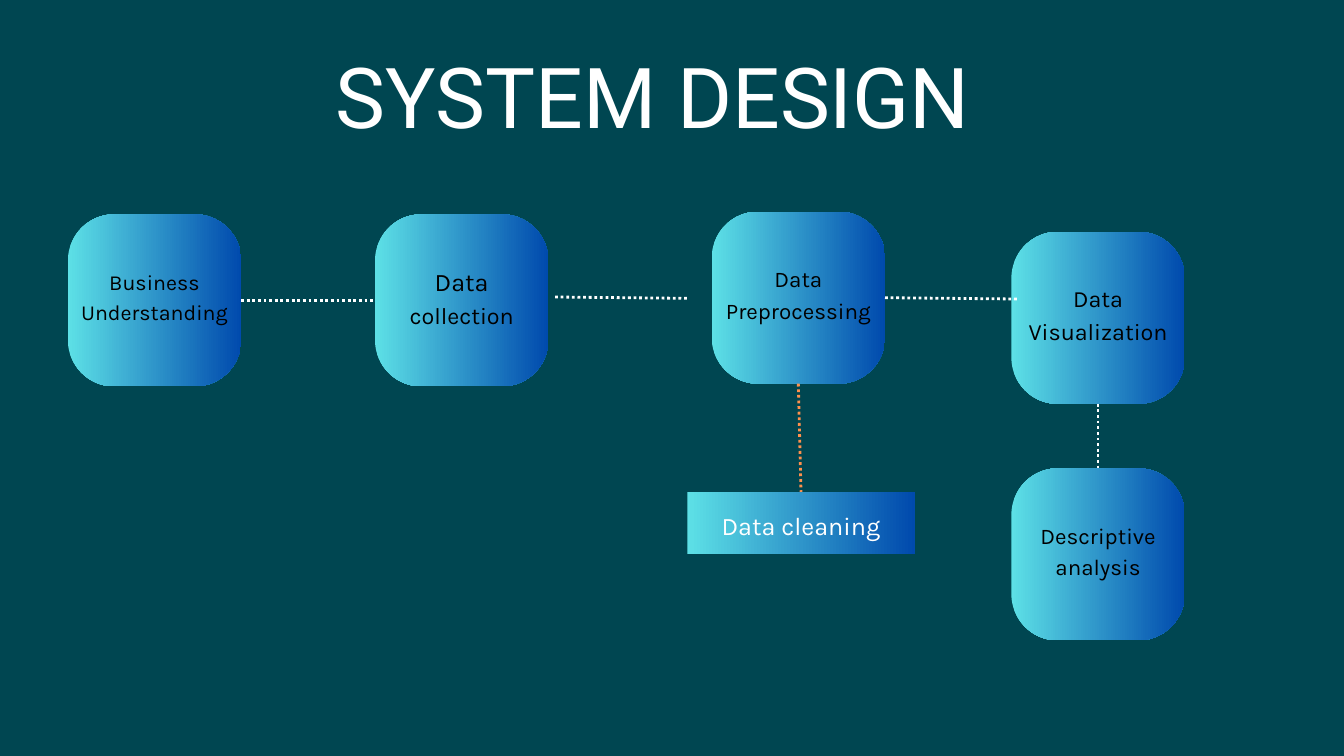
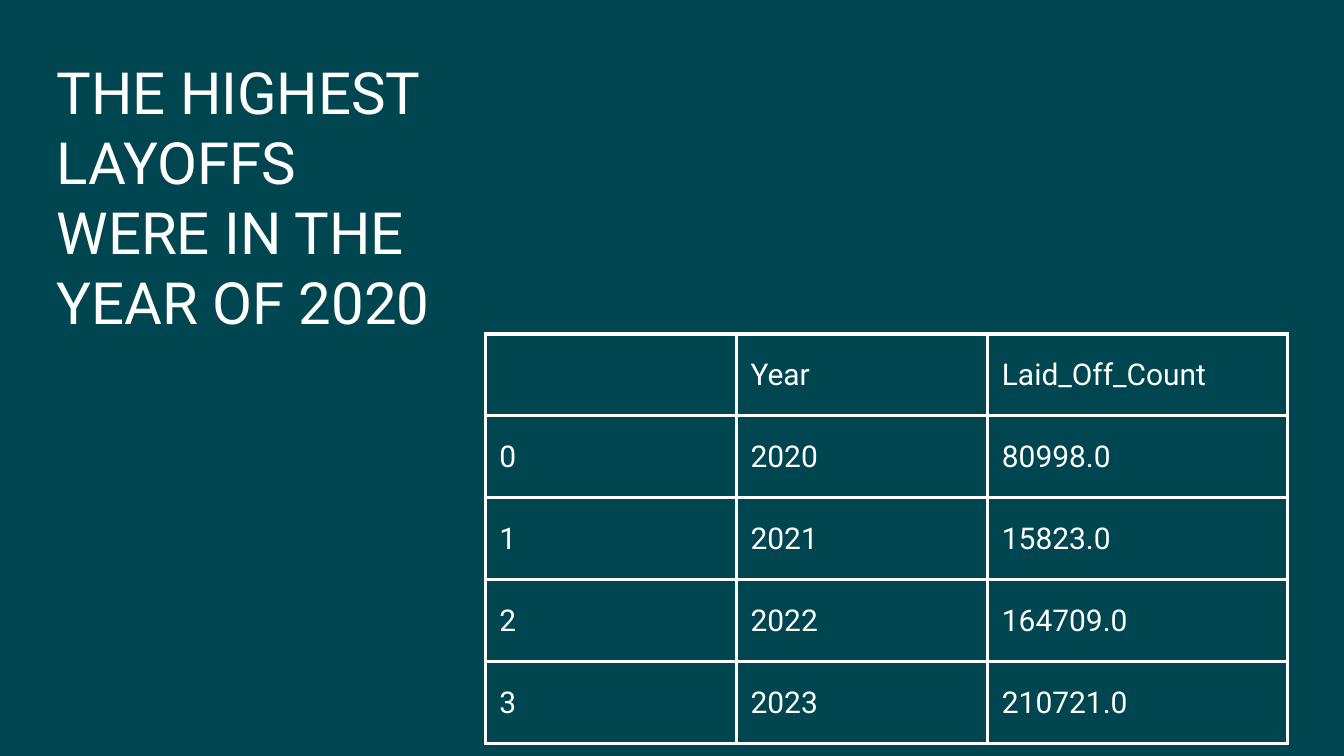
from lxml.etree import SubElement
from pptx import Presentation
from pptx.dml.color import RGBColor
from pptx.enum.dml import MSO_LINE
from pptx.enum.shapes import MSO_CONNECTOR, MSO_SHAPE
from pptx.enum.text import MSO_ANCHOR, PP_ALIGN
from pptx.oxml.ns import qn
from pptx.util import Inches, Pt

BACKGROUND, WHITE, BLACK, ORANGE = "004651", "FFFFFF", "000000", "FF914D"
GRADIENT = ("5DE0E6", "004AAD")
TITLE_FONT, LABEL_FONT = "Roboto", "Karla"
STEP_W, STEP_H, CORNER = 2.58, 2.56, 0.27
TOP, LEFT, BOTTOM, RIGHT = range(4)

LAYOFFS = [
    ("", "Year", "Laid_Off_Count"),
    ("0", "2020", "80998.0"),
    ("1", "2021", "15823.0"),
    ("2", "2022", "164709.0"),
    ("3", "2023", "210721.0"),
]


def rgb(value):
    return RGBColor.from_string(value)


def add_slide(prs):
    s = prs.slides.add_slide(prs.slide_layouts[6])
    s.background.fill.solid()
    s.background.fill.fore_color.rgb = rgb(BACKGROUND)
    return s


def set_margins(item, x, top, bottom):
    item.margin_left = item.margin_right = Inches(x)
    item.margin_top, item.margin_bottom = Inches(top), Inches(bottom)


def write(tf, lines, sizes, font=TITLE_FONT, color=WHITE, align=None, spacing=1.2):
    """Write one paragraph per line; spacing is a multiple of the text size."""
    for i, (line, size) in enumerate(zip(lines, sizes)):
        p = tf.paragraphs[0] if i == 0 else tf.add_paragraph()
        p.alignment = align
        p.line_spacing = Pt(round(size * spacing, 1))
        r = p.add_run()
        r.text = line
        r.font.size, r.font.name = Pt(size), font
        r.font.color.rgb = rgb(color)


def add_title(s, text, size, x, y, w, h):
    tf = s.shapes.add_textbox(Inches(x), Inches(y), Inches(w), Inches(h)).text_frame
    tf.word_wrap = True
    set_margins(tf, 0, 0, 0)
    write(tf, [text], [size])


def add_box(s, kind, x, y, w, h, lines, sizes, color=BLACK, lift=0):
    """Add a gradient box; lift is the extra bottom margin that raises its label."""
    sp = s.shapes.add_shape(kind, Inches(x), Inches(y), Inches(w), Inches(h))
    sp.shadow.inherit = False
    sp.line.fill.background()
    sp.fill.gradient()
    sp.fill.gradient_angle = 0
    for stop, stop_color in zip(sp.fill.gradient_stops, GRADIENT):
        stop.color.rgb = rgb(stop_color)
    tf = sp.text_frame
    tf.word_wrap = False
    tf.vertical_anchor = MSO_ANCHOR.MIDDLE
    set_margins(tf, 0, 0, lift)
    write(tf, lines, sizes, LABEL_FONT, color, PP_ALIGN.CENTER, 1.4)
    return sp


def add_step(s, x, y, lines, sizes):
    sp = add_box(s, MSO_SHAPE.ROUNDED_RECTANGLE, x, y, STEP_W, STEP_H, lines, sizes, lift=0.16)
    sp.adjustments[0] = CORNER
    return sp


def add_link(s, start=(0, 0), end=(0, 0), color=WHITE):
    """Add a dotted line; each end is an (x, y) point or a (shape, side) pair."""
    joined = [hasattr(place[0], "shape_id") for place in (start, end)]
    points = [(0, 0) if j else place for j, place in zip(joined, (start, end))]
    c = s.shapes.add_connector(MSO_CONNECTOR.STRAIGHT,
                               *(Inches(v) for point in points for v in point))
    if joined[0]:
        c.begin_connect(*start)
    if joined[1]:
        c.end_connect(*end)
    c.line.color.rgb = rgb(color)
    c.line.width = Pt(3)
    c.line.dash_style = MSO_LINE.ROUND_DOT
    SubElement(c._element.spPr, qn("a:effectLst"))


def set_borders(cell, color, width):
    tcPr = cell._tc.get_or_add_tcPr()
    for side in ("lnL", "lnR", "lnT", "lnB"):
        ln = SubElement(tcPr, qn(f"a:{side}"), w=str(Pt(width)))
        SubElement(SubElement(ln, qn("a:solidFill")), qn("a:srgbClr"), val=color)


def add_data_table(s, rows, x, y, widths, row_h):
    frame = s.shapes.add_table(len(rows), len(widths), Inches(x), Inches(y),
                               Inches(sum(widths)), Inches(row_h * len(rows)))
    table = frame.table
    table.first_row = table.horz_banding = False
    for column, width in zip(table.columns, widths):
        column.width = Inches(width)
    for row, values in zip(table.rows, rows):
        row.height = Inches(row_h)
        for cell, value in zip(row.cells, values):
            set_borders(cell, WHITE, 3.75)
            cell.fill.background()
            cell.vertical_anchor = MSO_ANCHOR.MIDDLE
            set_margins(cell, 0.21, 0.21, 0.21)
            if value:
                write(cell.text_frame, [value], [32.1])


def build_system_design(prs):
    s = add_slide(prs)
    add_title(s, "SYSTEM DESIGN", 90, 5, 0.66, 10.46, 1.51)
    business = add_step(s, 1.01, 3.19, ["Business", "Understanding"], [23, 23])
    collection = add_step(s, 5.58, 3.19, ["Data", "collection"], [27, 25])
    preprocessing = add_step(s, 10.59, 3.15, ["Data", "Preprocessing"], [24, 24])
    visualization = add_step(s, 15.05, 3.45, ["Data", "Visualization"], [25, 25])
    descriptive = add_step(s, 15.05, 6.97, ["Descriptive", "analysis"], [24, 24])
    cleaning = add_box(s, MSO_SHAPE.RECTANGLE, 10.23, 7.32, 3.38, 0.93,
                       ["Data cleaning"], [27], WHITE)
    add_link(s, (business, RIGHT), (collection, LEFT))
    add_link(s, (8.26, 4.42), (10.25, 4.44))
    add_link(s, (preprocessing, RIGHT), (15.16, 4.45))
    add_link(s, (visualization, BOTTOM), (descriptive, TOP))
    add_link(s, (preprocessing, BOTTOM), (cleaning, TOP), ORANGE)


def build_layoffs(prs):
    s = add_slide(prs)
    add_data_table(s, LAYOFFS, 7.22, 4.97, [3.74, 3.74, 4.46], 1.22)
    add_title(s, "THE HIGHEST LAYOFFS WERE IN THE YEAR OF 2020", 62.3, 0.84, 0.84, 5.84, 5.16)


def main():
    prs = Presentation()
    prs.slide_width, prs.slide_height = Inches(20), Inches(11.25)
    build_system_design(prs)
    build_layoffs(prs)
    prs.save("out.pptx")


if __name__ == "__main__":
    main()
